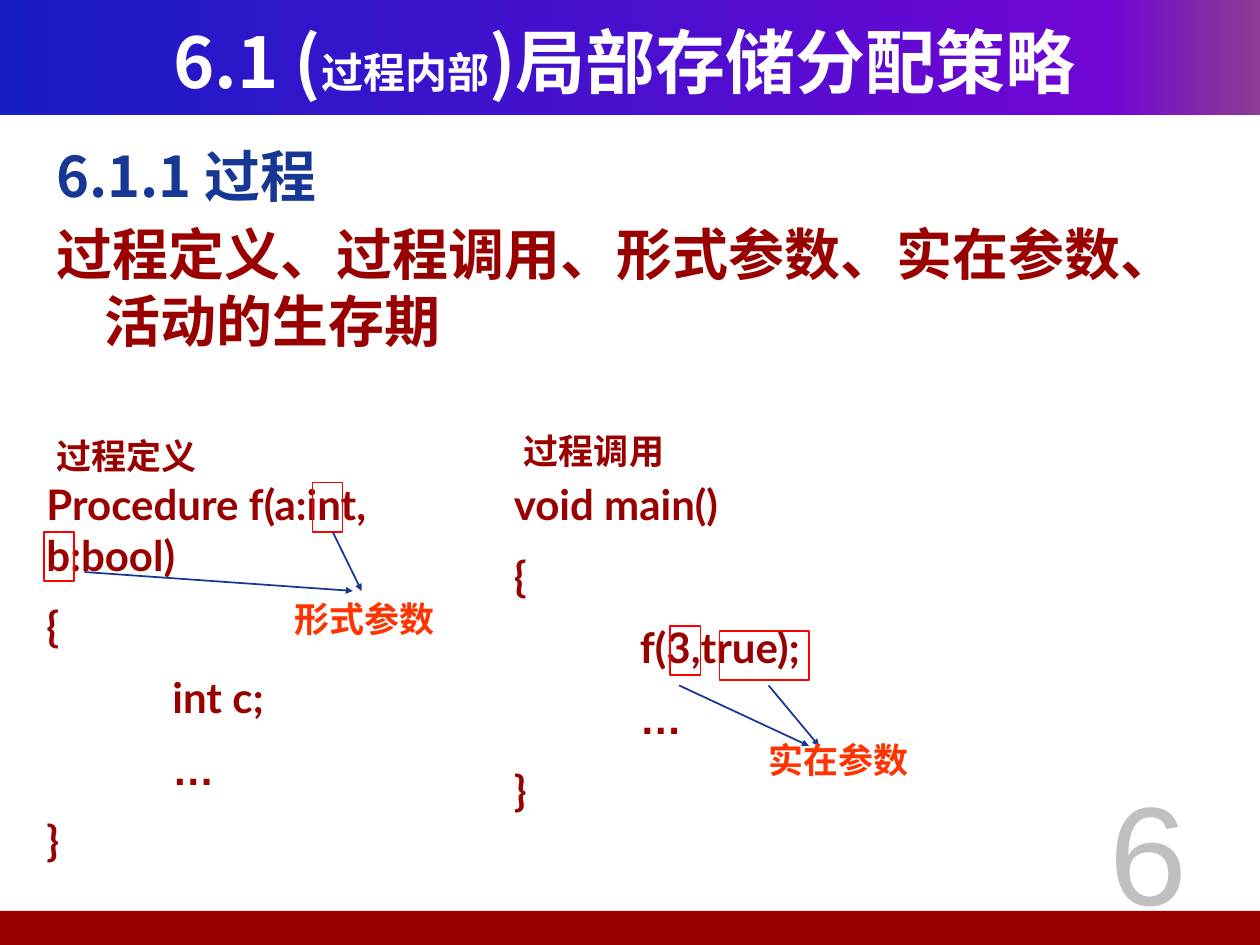
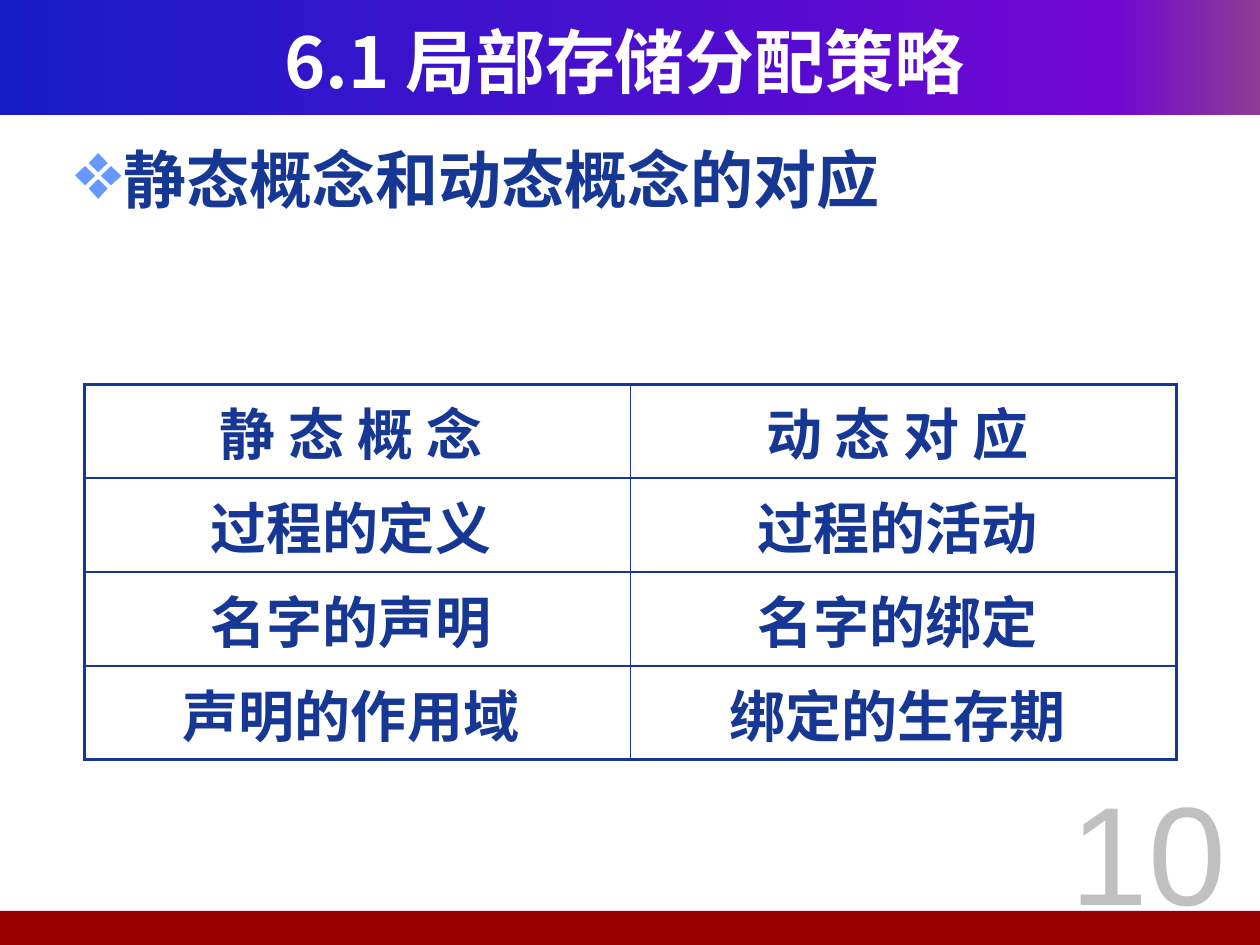
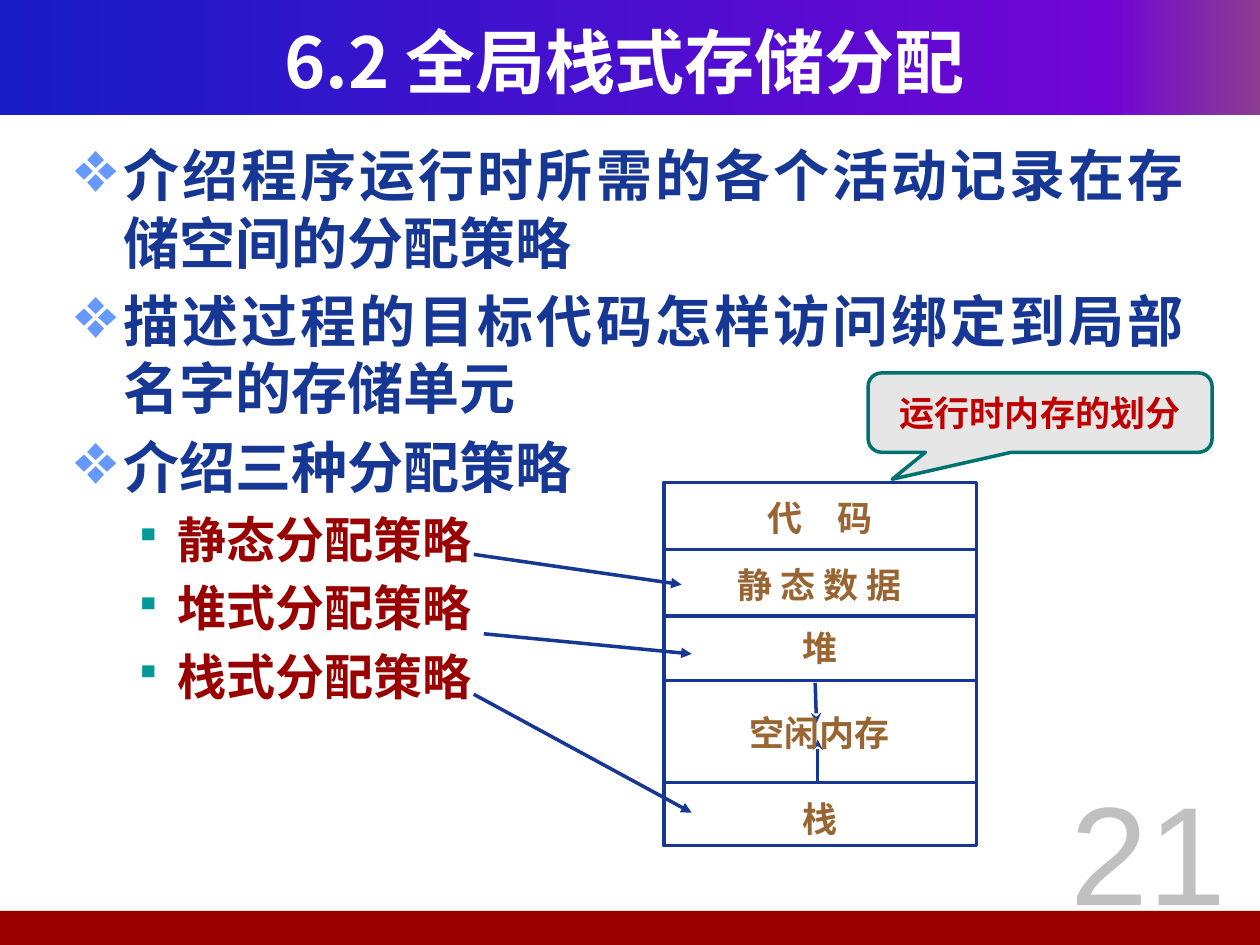
from copy import deepcopy
from dataclasses import dataclass
from typing import Optional

from lxml.etree import SubElement
from pptx import Presentation
from pptx.dml.color import RGBColor
from pptx.enum.shapes import MSO_CONNECTOR as Connector, MSO_SHAPE as Preset
from pptx.enum.text import MSO_ANCHOR as Anchor, PP_ALIGN as Align
from pptx.oxml.ns import qn
from pptx.util import Inches, Pt

# Grid: 100 columns by 75 rows over the page
COLUMNS, ROWS = 100, 75
WIDTH, HEIGHT = Inches(10), Inches(7.5)
CJK, CODE, PLAIN, SERIF = "Noto Sans CJK SC", "Lato", "Arial", "Times New Roman"
COLOURS = {
    "white": "FFFFFF", "navy": "163794", "maroon": "990000", "orange": "FF3300",
    "red": "FF0000", "silver": "C0C0C0", "sky": "6699FF", "teal": "009999",
    "brown": "996633", "note_fill": "E6E6E6", "note_line": "007171", "note_text": "C00000",
    "band_start": "181CC7", "band_middle": "7005D4", "band_end": "8C3D91",
}


@dataclass(frozen=True)
class Place:
    left: float
    top: float
    width: float
    height: float

    def lengths(self) -> tuple:
        return col(self.left), row(self.top), col(self.width), row(self.height)


@dataclass(frozen=True)
class Span:
    text: str
    size: float
    colour: str
    font: str = CJK
    bold: bool = True


@dataclass(frozen=True)
class Bullet:
    char: str
    colour: str
    percent: int


@dataclass(frozen=True)
class Para:
    spans: tuple
    align: Align = Align.LEFT
    before: float = 0  # share of the text size
    margin: float = 0  # columns
    hang: float = 0  # columns
    bullet: Optional[Bullet] = None
    level: int = 0


@dataclass(frozen=True)
class Line:
    start: tuple
    end: tuple
    weight: float = 1
    head: Optional[str] = "triangle"
    head_size: str = "med"


DIAMOND = Bullet("❖", "sky", 130)
SQUARE = Bullet("▪", "teal", 75)


def col(count: float) -> int:
    return round(WIDTH * count / COLUMNS)


def row(count: float) -> int:
    return round(HEIGHT * count / ROWS)


def rgb(name: str) -> RGBColor:
    return RGBColor.from_string(COLOURS[name])


# Text
def write(frame, paras: list) -> None:
    for index, item in enumerate(paras):
        para = frame.paragraphs[0] if index == 0 else frame.add_paragraph()
        para.alignment, para.level = item.align, item.level
        if item.before:
            para.space_before = Pt(item.spans[0].size * item.before)
        props = para._p.get_or_add_pPr()
        if item.margin:
            props.set("marL", str(col(item.margin)))
            props.set("indent", str(-col(item.hang)))
        if item.bullet:
            tint = SubElement(props, qn("a:buClr"))
            SubElement(tint, qn("a:srgbClr"), val=COLOURS[item.bullet.colour])
            SubElement(props, qn("a:buSzPct"), val=str(item.bullet.percent * 1000))
            SubElement(props, qn("a:buChar"), char=item.bullet.char)
        for span in item.spans:
            run = para.add_run()
            run.text = span.text
            run.font.size, run.font.bold = Pt(span.size), span.bold
            run.font.name = span.font
            run.font.color.rgb = rgb(span.colour)
            SubElement(run._r.get_or_add_rPr(), qn("a:ea"), typeface=CJK)


def add_text(page, place: Place, paras: list, wrap: bool = True,
             anchor: Anchor = Anchor.TOP, top_inset: float = 0.5) -> None:
    frame = page.shapes.add_textbox(*place.lengths()).text_frame
    frame.word_wrap, frame.vertical_anchor = wrap, anchor
    frame.margin_top = row(top_inset)
    write(frame, paras)


# Shapes and lines
def add_box(page, place: Place, line: str = "", weight: float = 1,
            fill: str = "", preset: Preset = Preset.RECTANGLE):
    box = page.shapes.add_shape(preset, *place.lengths())
    box.shadow.inherit = False
    if fill:
        box.fill.solid()
        box.fill.fore_color.rgb = rgb(fill)
    else:
        box.fill.background()
    if line:
        box.line.color.rgb, box.line.width = rgb(line), Pt(weight)
    else:
        box.line.fill.background()
    return box


def add_line(page, line: Line) -> None:
    (x1, y1), (x2, y2) = line.start, line.end
    link = page.shapes.add_connector(Connector.STRAIGHT, col(x1), row(y1), col(x2), row(y2))
    link.line.color.rgb, link.line.width = rgb("navy"), Pt(line.weight)
    if line.head:
        SubElement(link.line._get_or_add_ln(), qn("a:tailEnd"),
                   type=line.head, w=line.head_size, len=line.head_size)
    SubElement(link._element.spPr, qn("a:effectLst"))


# Shared page: bands, title and page number
def add_page(deck, number: int, title: list):
    page = deck.slides.add_slide(deck.slide_layouts[6])
    band = add_box(page, Place(0, 0, 100, 9.1))
    band.fill.gradient()
    band.fill.gradient_angle = 0
    stops = band.fill._fill._gradFill.gsLst
    stops.append(deepcopy(stops[-1]))
    names = ("band_start", "band_middle", "band_end")
    for stop, share, name in zip(band.fill.gradient_stops, (0, 0.88, 1), names):
        stop.position = share
        stop.color.rgb = rgb(name)
    add_box(page, Place(-0.4, 72.3, 100.4, 2.7), fill="maroon")
    spans = tuple(Span(text, size, "white") for text, size in title)
    add_text(page, Place(3.3, 1.7, 92.5, 6.2), [Para(spans, Align.CENTER)], anchor=Anchor.MIDDLE)
    digits = Span(str(number), 80, "silver", PLAIN, False)
    add_text(page, Place(82.3, 60.3, 17.7, 14.2), [Para((digits,), Align.CENTER)])
    return page


def point(text: str, size: float, align: Align = Align.LEFT) -> Para:
    return Para((Span(text, size, "navy"),), align, 0.2, 3.8, 3.8, DIAMOND)


def subpoint(text: str) -> Para:
    return Para((Span(text, 28, "maroon"),), Align.JUSTIFY, 0.2, 8.1, 3.4, SQUARE, 1)


def code(text: str, margin: float = 0) -> Para:
    font = PLAIN if text == "…" else CODE
    return Para((Span(text, 24, "maroon", font),), before=0.5, margin=margin)


# Page 6: a procedure and its call
def build_procedure(deck) -> None:
    page = add_page(deck, 6, [("6.1 (", 40), ("过程内部", 24), (")局部存储分配策略", 40)])
    heads = (("6.1.1 过程", "navy"), ("过程定义、过程调用、形式参数、实在参数、活动的生存期", "maroon"))
    add_text(page, Place(3.5, 10.7, 93.3, 20.1), [
        Para((Span(text, 32, colour),), before=0.2, margin=3.8, hang=3.8) for text, colour in heads])

    listings = (
        (Place(2.7, 37.5, 33.1, 33), "Procedure f(a:int, b:bool)", "int c;"),
        (Place(39.8, 37.5, 33.1, 29), "void main()", "f(3,true);"),
    )
    for place, header, statement in listings:
        add_text(page, place, [code(header), code("{"), code(statement, 10), code("…", 10), code("}")])
    for left, top, text in ((3.5, 34, "过程定义"), (40.6, 33.6, "过程调用")):
        add_text(page, Place(left, top, 30.7, 4.3),
                 [Para((Span(text, 20, "maroon", CODE),), before=0.5)])

    for left, top, width in ((24.8, 38.3, 2.4), (3.5, 42.2, 2.4), (53.2, 49.7, 2.4), (57.1, 50.1, 7.1)):
        add_box(page, Place(left, top, width, 3.9), "red")
    for start, end in (((6.7, 45.4), (28, 46.9)), ((26.4, 42.2), (28.7, 46.9)),
                       ((61, 54.4), (65, 59.2)), ((53.9, 54.4), (64.2, 59.2))):
        add_line(page, Line(start, end, head_size="sm"))
    for left, top, text in ((22.4, 46.9, "形式参数"), (60, 58.1, "实在参数")):
        add_text(page, Place(left, top, 13.2, 4.3),
                 [Para((Span(text, 20, "orange", CODE),))], wrap=False)


# Page 10: static notions against dynamic ones
def add_borders(cell, weights: dict) -> None:
    props = cell._tc.get_or_add_tcPr()
    for index, (side, weight) in enumerate(weights.items()):
        edge = SubElement(props, qn(f"a:ln{side}"), w=str(Pt(weight)))
        fill = SubElement(edge, qn("a:solidFill"))
        SubElement(fill, qn("a:srgbClr"), val=COLOURS["navy"])
        props.insert(index, edge)


def build_table(deck) -> None:
    page = add_page(deck, 10, [("6.1 局部存储分配策略", 40)])
    add_text(page, Place(5, 10.7, 90, 57.4), [point("静态概念和动态概念的对应", 36)])
    pairs = (("静 态 概 念 ", "动 态 对 应 "), ("过程的定义 ", "过程的活动 "),
             ("名字的声明 ", "名字的绑定 "), ("声明的作用域 ", "绑定的生存期 "))
    place = Place(6.7, 30.5, 86.7, 29.8)
    table = page.shapes.add_table(len(pairs), 2, *place.lengths()).table
    table.first_row = table.horz_banding = False
    thick, thin = 2.25, 1
    last = len(pairs) - 1
    for y, pair in enumerate(pairs):
        for x, text in enumerate(pair):
            cell = table.cell(y, x)
            cell.fill.background()
            write(cell.text_frame, [Para((Span(text, 32, "navy"),), Align.CENTER, 0.2)])
            add_borders(cell, {
                "L": thick if x == 0 else thin, "R": thick if x == 1 else thin,
                "T": thick if y == 0 else thin, "B": thick if y == last else thin})


# Page 21: strategies and the memory they use
def build_memory(deck) -> None:
    page = add_page(deck, 21, [("6.2 全局栈式存储分配", 40)])
    points = ("介绍程序运行时所需的各个活动记录在存储空间的分配策略",
              "描述过程的目标代码怎样访问绑定到局部名字的存储单元", "介绍三种分配策略")
    strategies = ("静态分配策略", "堆式分配策略", "栈式分配策略")
    add_text(page, Place(5, 10.7, 90, 57.4),
             [point(text, 32, Align.JUSTIFY) for text in points]
             + [subpoint(text) for text in strategies])

    left, width = 52.7, 24.8
    add_box(page, Place(left, 38.3, width, 28.8), "navy", 2)
    for level in (43.6, 48.9, 54, 62.1):
        add_line(page, Line((left, level), (left + width, level), 2, None))
    arrows = (
        Line((64.7, 54.2), (64.8, 57.4), 2, "stealth"),
        Line((64.9, 62), (64.9, 58.7), 2, "stealth"),
        Line((37.6, 44), (54.1, 46.4), 2),
        Line((38.4, 50.3), (54.9, 51.9), 2),
        Line((37.6, 55.1), (54.9, 64.5), 2),
    )
    for arrow in arrows:
        add_line(page, arrow)
    areas = (("代　码", 38.5, SERIF), ("静 态 数 据", 43.8, SERIF), ("堆", 48.8, PLAIN),
             ("空闲内存", 55.6, PLAIN), ("栈", 62.4, PLAIN))
    for text, top, font in areas:
        add_text(page, Place(53.2, top, 23.7, 4.6),
                 [Para((Span(text, 20, "brown", font),), Align.CENTER)], top_inset=0.9)

    note = add_box(page, Place(68.9, 29.6, 27.3, 6.3), "note_line", 2, "note_fill",
                   Preset.ROUNDED_RECTANGULAR_CALLOUT)
    for index, share in enumerate((-0.43, 0.84, 0.17)):
        note.adjustments[index] = share
    note.text_frame.vertical_anchor = Anchor.MIDDLE
    write(note.text_frame, [Para((Span("运行时内存的划分", 20, "note_text", PLAIN),), Align.CENTER)])


def main() -> None:
    deck = Presentation()
    deck.slide_width, deck.slide_height = WIDTH, HEIGHT
    for build in (build_procedure, build_table, build_memory):
        build(deck)
    deck.save("out.pptx")


if __name__ == "__main__":
    main()
